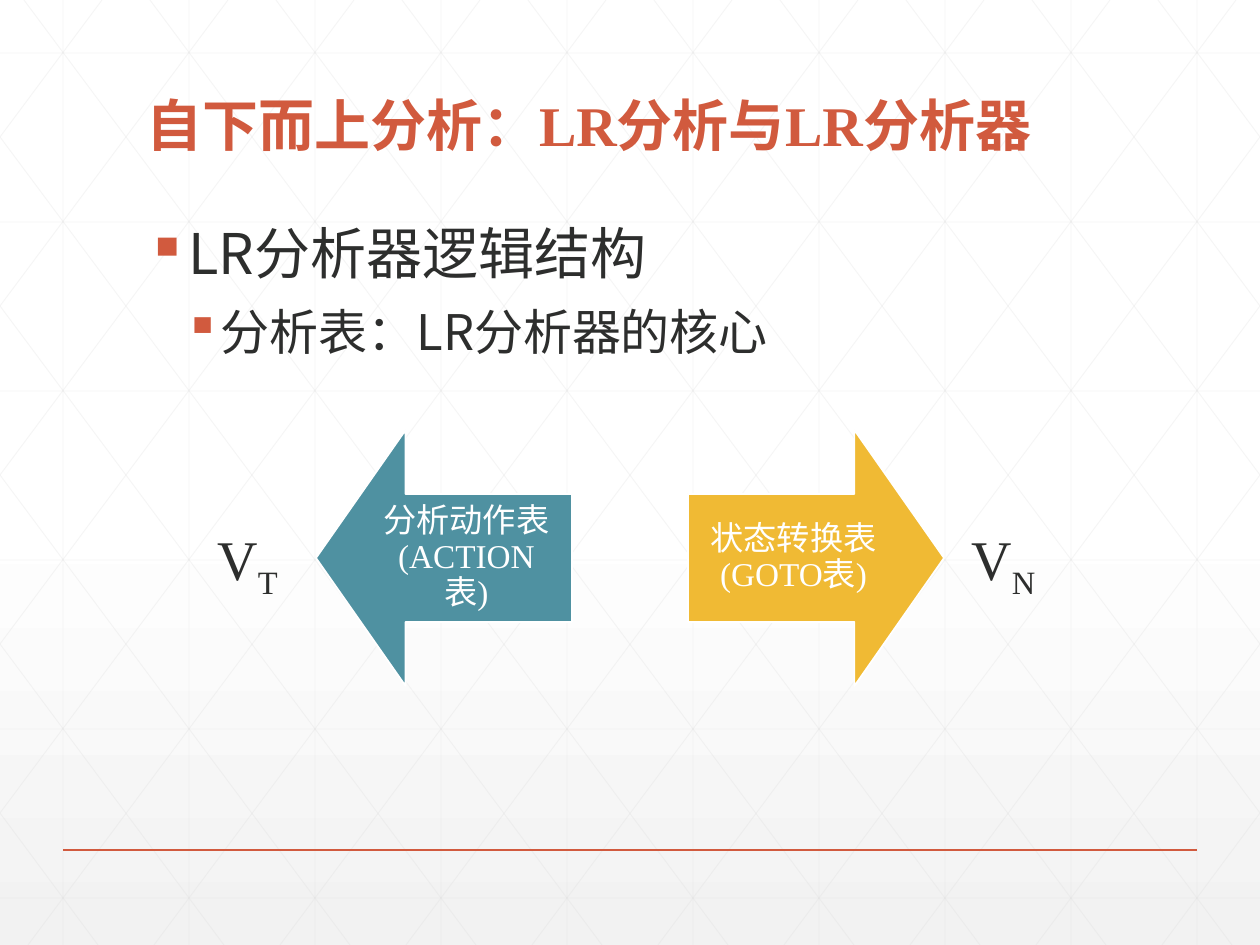
from lxml.etree import SubElement
from pptx import Presentation
from pptx.dml.color import RGBColor
from pptx.enum.shapes import MSO_CONNECTOR, MSO_SHAPE
from pptx.enum.text import MSO_ANCHOR, MSO_AUTO_SIZE, PP_ALIGN
from pptx.oxml.ns import qn
from pptx.util import Pt

RED = RGBColor(0xD1, 0x5A, 0x3E)
DARK = RGBColor(0x2D, 0x2E, 0x2D)
TEAL = RGBColor(0x4F, 0x91, 0xA1)
GOLD = RGBColor(0xF0, 0xBA, 0x34)
GRID = RGBColor(0xD9, 0xD9, 0xD9)
WHITE = RGBColor(0xFF, 0xFF, 0xFF)
PALE = RGBColor(0xF2, 0xF2, 0xF2)
SERIF, SANS = "Times New Roman", "Noto Sans CJK SC"

W, H = 1260, 945
TITLE = "自下而上分析：LR分析与LR分析器"
# text, size, left margin, hanging indent, space before
BULLETS = [
    ("LR分析器逻辑结构", 32, 32, 32, 18),
    ("分析表：LR分析器的核心", 28, 63, 25, 12),
]
# shape, left, colour, text
ARROWS = [
    (MSO_SHAPE.LEFT_ARROW, 316, TEAL, "分析动作表(ACTION表)"),
    (MSO_SHAPE.RIGHT_ARROW, 688, GOLD, "状态转换表(GOTO表)"),
]
# letter, subscript, left, width
SYMBOLS = [("V", "T", 205, 89), ("V", "N", 959, 93)]


def px(n):
    return round(n * 914400 / 126)


def style(r, size, color, font, bold=False):
    r.font.size, r.font.bold, r.font.name = Pt(size), bold, font
    r.font.color.rgb = color
    SubElement(r._r.get_or_add_rPr(), qn("a:ea"), typeface=SANS)


def add_line(shapes, x1, y1, x2, y2, color, width):
    line = shapes.add_connector(MSO_CONNECTOR.STRAIGHT, px(x1), px(y1), px(x2), px(y2))
    line.line.color.rgb = color
    line.line.width = Pt(width)
    SubElement(line._element.spPr, qn("a:effectLst"))
    return line


def grid_lines():
    """Verticals, horizontals, and mirrored diagonals clipped to the slide."""
    step, run, first = 126, 704, 24
    for x in range(63, W, step):
        yield x, 0, x, H
    for y in range(53, H, 169):
        yield 0, y, W, y
    for k in range(-5, 10):
        top = first + k * step
        x1, x2 = max(top, 0), min(top + run, W)
        y1, y2 = [round((x - top) * H / run) for x in (x1, x2)]
        yield x1, y1, x2, y2
        yield W - x1, y1, W - x2, y2


def add_bullet(p, text, size, margin, hang, before):
    p.text = text
    p.line_spacing, p.space_before = 0.9, Pt(before)
    style(p.runs[0], size, DARK, SANS)
    pPr = p._p.get_or_add_pPr()
    pPr.set("marL", str(px(margin)))
    pPr.set("indent", str(-px(hang)))
    SubElement(SubElement(pPr, qn("a:buClr")), qn("a:srgbClr"), val=str(RED))
    SubElement(pPr, qn("a:buChar"), char="▪")


prs = Presentation()
prs.slide_width, prs.slide_height = px(W), px(H)
s = prs.slides.add_slide(prs.slide_layouts[5])

fill = s.background.fill
fill.gradient()
fill.gradient_angle = 270
for stop, position, color in zip(fill.gradient_stops, (0.53, 1), (WHITE, PALE)):
    stop.position, stop.color.rgb = position, color

grid = s.shapes.add_group_shape()
for ends in grid_lines():
    line = add_line(grid.shapes, *ends, GRID, 0.5)
    clr = line._element.spPr.find(".//" + qn("a:srgbClr"))
    SubElement(clr, qn("a:alpha"), val="25000")
add_line(s.shapes, 63, 850, W - 63, 850, RED, 1)

title = s.shapes.title
title.left, title.top, title.width, title.height = px(134), px(69), px(993), px(96)
tf = title.text_frame
tf.text = TITLE
tf.vertical_anchor, tf.auto_size = MSO_ANCHOR.BOTTOM, MSO_AUTO_SIZE.NONE
p = tf.paragraphs[0]
p.alignment, p.line_spacing = PP_ALIGN.LEFT, 0.9
style(p.runs[0], 32, RED, SERIF, True)
s.shapes._spTree.append(title._element)  # in front of the grid

tf = s.shapes.add_textbox(px(134), px(220), px(993), px(578)).text_frame
tf.word_wrap = True
for i, bullet in enumerate(BULLETS):
    add_bullet(tf.add_paragraph() if i else tf.paragraphs[0], *bullet)

for shape, left, color, text in ARROWS:
    sp = s.shapes.add_shape(shape, px(left), px(430), px(256), px(256))
    sp.adjustments[0], sp.adjustments[1] = 0.5, 0.35
    sp.shadow.inherit = False
    sp.fill.solid()
    sp.fill.fore_color.rgb = color
    sp.line.color.rgb, sp.line.width = WHITE, Pt(1)
    tf = sp.text_frame
    tf.word_wrap, tf.vertical_anchor = True, MSO_ANCHOR.MIDDLE
    tf.margin_left = tf.margin_right = tf.margin_top = tf.margin_bottom = px(19)
    p = tf.paragraphs[0]
    p.text = text
    p.alignment, p.line_spacing = PP_ALIGN.CENTER, 0.9
    style(p.runs[0], 19, WHITE, SERIF)

for letter, subscript, left, width in SYMBOLS:
    tf = s.shapes.add_textbox(px(left), px(518), px(width), px(81)).text_frame
    tf.word_wrap, tf.auto_size = False, MSO_AUTO_SIZE.SHAPE_TO_FIT_TEXT
    for text in (letter, subscript):
        r = tf.paragraphs[0].add_run()
        r.text = text
        style(r, 32, DARK, SERIF)
    r._r.get_or_add_rPr().set("baseline", "-25000")

prs.save("out.pptx")
